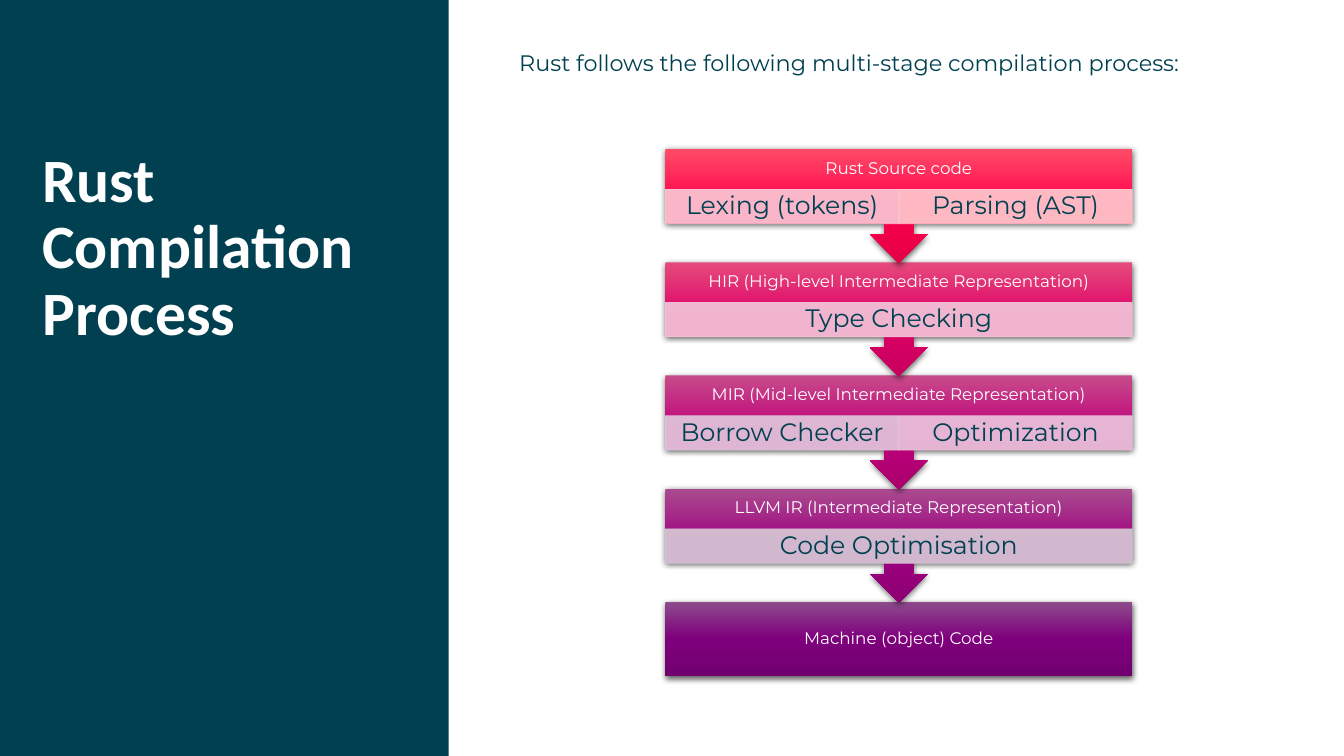
from copy import deepcopy

from lxml.etree import SubElement
from pptx import Presentation
from pptx.dml.color import RGBColor
from pptx.enum.shapes import MSO_SHAPE
from pptx.enum.text import MSO_ANCHOR, PP_ALIGN
from pptx.oxml import parse_xml
from pptx.oxml.ns import nsdecls, qn
from pptx.util import Inches, Pt

TEAL, WHITE = "004050", "FFFFFF"
TITLE = "Rust\nCompilation Process"
INTRO = "Rust follows the following multi-stage compilation process:"
STAGES = [
    ("Rust Source code", ("FF4B67", "FF004C", "E30044"),
     [("Lexing (tokens)", "FACAD6"), ("Parsing (AST)", "FFCCD0")]),
    ("HIR (High-level Intermediate Representation)", ("E54B7B", "DF0069", "C6005D"),
     [("Type Checking", "F3C8DB")]),
    ("MIR (Mid-level Intermediate Representation)", ("C74B8A", "BF007A", "AA006D"),
     [("Borrow Checker", "E2CADD"), ("Optimization", "EBC8DE")]),
    ("LLVM IR (Intermediate Representation)", ("AA4B8F", "9F0081", "8D0073"),
     [("Code Optimisation", "D8CCD7")]),
    ("Machine (object) Code", ("8D4B8C", "7F007D", "71006F"), []),
]
LEFT, WIDTH = 6.6, 4.63
FIRST_TOP, LAST_TOP = 1.48, 5.97
CALLOUT_H, LAST_H = 1.13, 0.74
HEADER_H, STEP_H = 0.4, 0.34

prs = Presentation()
prs.slide_width, prs.slide_height = Inches(13.33), Inches(7.5)
slide = prs.slides.add_slide(prs.slide_layouts[6])


def rgb(color):
    return RGBColor.from_string(color)


def box(left, top, width, height, kind=MSO_SHAPE.RECTANGLE):
    s = slide.shapes.add_shape(kind, Inches(left), Inches(top), Inches(width), Inches(height))
    s.shadow.inherit = False
    s.line.fill.background()
    return s


def write(s, text, size, color, margins, font="Montserrat", bold=False,
          align=PP_ALIGN.CENTER, anchor=MSO_ANCHOR.MIDDLE, spacing=0.9):
    tf = s.text_frame
    tf.word_wrap = True
    tf.vertical_anchor = anchor
    tf.margin_left, tf.margin_top, tf.margin_right, tf.margin_bottom = map(Inches, margins)
    tf.text = text
    for p in tf.paragraphs:
        p.alignment, p.line_spacing = align, spacing
        for r in p.runs:
            r.font.name, r.font.size, r.font.bold = font, Pt(size), bold
            r.font.color.rgb = rgb(color)


def shade(s, colors):
    s.fill.gradient()
    s.fill.gradient_angle = 270
    stops = s._element.spPr.find(qn("a:gradFill")).find(qn("a:gsLst"))
    stops.append(deepcopy(stops[-1]))
    for stop, color, position in zip(s.fill.gradient_stops, colors, (0, 0.5, 1)):
        stop.color.rgb = rgb(color)
        stop.position = position


def cast_shadow(s):
    s._element.spPr.find(qn("a:effectLst")).append(parse_xml(
        f'<a:outerShdw {nsdecls("a")} blurRad="{Pt(4.5)}" dist="{Pt(1.5)}" dir="5400000" '
        'algn="ctr" rotWithShape="0"><a:srgbClr val="000000"><a:alpha val="63000"/>'
        '</a:srgbClr></a:outerShdw>'))


def tint(fill, color):
    fill.solid()
    fill.fore_color.rgb = rgb(color)
    SubElement(fill._xPr.find(qn("a:solidFill"))[0], qn("a:alpha"), val="90000")


def add_stage(top, name, colors, steps):
    if steps:
        s = box(LEFT, top, WIDTH, CALLOUT_H, MSO_SHAPE.DOWN_ARROW_CALLOUT)
        bottom = 0.09 + STEP_H
    else:
        s = box(LEFT, top, WIDTH, LAST_H)
        bottom = 0.09
    shade(s, colors)
    cast_shadow(s)
    write(s, name, 12, WHITE, (0.09, 0.09, 0.09, bottom))
    for i, (step, color) in enumerate(steps):
        width = WIDTH / len(steps)
        s = box(LEFT + i * width, top + HEADER_H, width, STEP_H)
        tint(s.fill, color)
        tint(s.line.fill, color)
        s.line.width = Pt(0.5)
        write(s, step, 18, TEAL, (0.14, 0.03, 0.14, 0.03))


panel = box(0, 0, 4.45, 7.5)
panel.fill.solid()
panel.fill.fore_color.rgb = rgb(TEAL)

title = slide.shapes.add_textbox(Inches(0.42), Inches(1.48), Inches(3.77), Inches(3.01))
write(title, TITLE, 44, WHITE, (0, 0, 0, 0), "Calibri", True, PP_ALIGN.LEFT, MSO_ANCHOR.TOP)

intro = slide.shapes.add_textbox(Inches(5.15), Inches(0.49), Inches(7.53), Inches(0.45))
write(intro, INTRO, 16, TEAL, (0, 0, 0, 0), align=PP_ALIGN.LEFT, anchor=MSO_ANCHOR.TOP, spacing=1.0)

pitch = (LAST_TOP - FIRST_TOP) / (len(STAGES) - 1)
for i, stage in reversed(list(enumerate(STAGES))):
    add_stage(FIRST_TOP + i * pitch, *stage)

prs.save("out.pptx")
